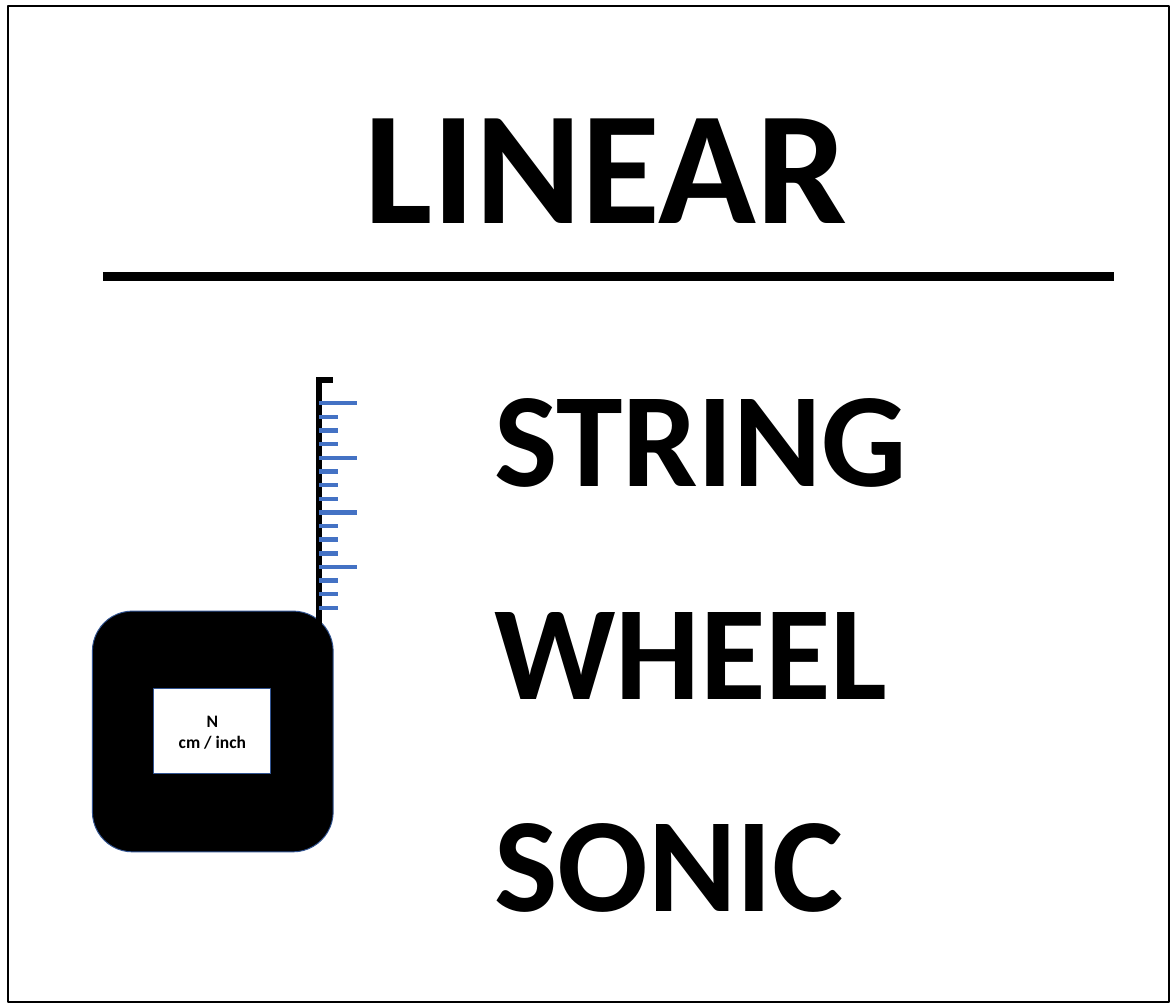
from lxml.etree import SubElement
from pptx import Presentation
from pptx.dml.color import RGBColor
from pptx.enum.shapes import MSO_CONNECTOR, MSO_SHAPE
from pptx.enum.text import MSO_ANCHOR, MSO_AUTO_SIZE, PP_ALIGN
from pptx.oxml.ns import qn
from pptx.util import Inches, Pt

BLACK = RGBColor(0x00, 0x00, 0x00)
WHITE = RGBColor(0xFF, 0xFF, 0xFF)
BLUE = RGBColor(0x44, 0x72, 0xC4)
DARK_BLUE = RGBColor(0x32, 0x54, 0x91)


def write(tf, text, size, align=PP_ALIGN.LEFT, anchor=MSO_ANCHOR.TOP,
          fit=MSO_AUTO_SIZE.NONE, color=BLACK, font="Calibri", bold=True):
    tf.word_wrap = True
    tf.auto_size = fit
    tf.vertical_anchor = anchor
    p = tf.paragraphs[0]
    p.text = text
    p.alignment = align
    for r in p.runs:
        r.font.name = font
        r.font.size = Pt(size)
        r.font.bold = bold
        r.font.color.rgb = color


class Sheet:
    """Draws styled elements on one slide."""

    def __init__(self, prs):
        self.s = prs.slides.add_slide(prs.slide_layouts[5])

    def title(self, text, x, y, w, h, size):
        sp = self.s.shapes.title
        sp.left, sp.top, sp.width, sp.height = map(Inches, (x, y, w, h))
        write(sp.text_frame, text, size, fit=MSO_AUTO_SIZE.SHAPE_TO_FIT_TEXT)

    def text(self, text, x, y, w, h, size):
        sp = self.s.shapes.add_textbox(*map(Inches, (x, y, w, h)))
        write(sp.text_frame, text, size, fit=MSO_AUTO_SIZE.SHAPE_TO_FIT_TEXT)

    def shape(self, kind, x, y, w, h, fill=None, line=DARK_BLUE, width=1):
        sp = self.s.shapes.add_shape(kind, *map(Inches, (x, y, w, h)))
        sp.shadow.inherit = False
        if fill is None:
            sp.fill.background()
        else:
            sp.fill.solid()
            sp.fill.fore_color.rgb = fill
        sp.line.color.rgb = line
        sp.line.width = Pt(width)
        return sp

    def line(self, x1, y1, x2, y2, width, color=BLACK):
        c = self.s.shapes.add_connector(
            MSO_CONNECTOR.STRAIGHT, *map(Inches, (x1, y1, x2, y2)))
        c.line.color.rgb = color
        c.line.width = Pt(width)
        SubElement(c._element.spPr, qn("a:effectLst"))


def main():
    prs = Presentation()
    prs.slide_width, prs.slide_height = Inches(16.8), Inches(14.4)
    sheet = Sheet(prs)

    sheet.title("LINEAR", 5.11, 0.84, 7.69, 2.89, 166)
    sheet.shape(MSO_SHAPE.RECTANGLE, 0.11, 0.09, 16.59, 14.22,
                line=BLACK, width=2.25)
    sheet.line(1.47, 3.95, 15.91, 3.95, 10)
    for i, method in enumerate(("STRING", "WHEEL", "SONIC")):
        sheet.text(method, 6.96, 4.99 + i * 3.03, 7.33, 2.42, 138)

    sheet.shape(MSO_SHAPE.ROUNDED_RECTANGLE, 1.32, 8.73, 3.44, 3.44, BLACK)
    tape_x = 4.56
    sheet.line(tape_x, 9.01, tape_x, 5.39, 6)
    sheet.line(4.75, 5.43, 4.55, 5.43, 6)
    for i in range(16):
        y = 5.76 + i * 0.195
        length = 0.27 if i % 4 else 0.54
        sheet.line(tape_x, y, tape_x + length, y, 4.5, BLUE)

    display = sheet.shape(MSO_SHAPE.RECTANGLE, 2.2, 9.84, 1.67, 1.21, WHITE)
    write(display.text_frame, "N\ncm / inch", 18,
          align=PP_ALIGN.CENTER, anchor=MSO_ANCHOR.MIDDLE)
    prs.save("out.pptx")


if __name__ == "__main__":
    main()
